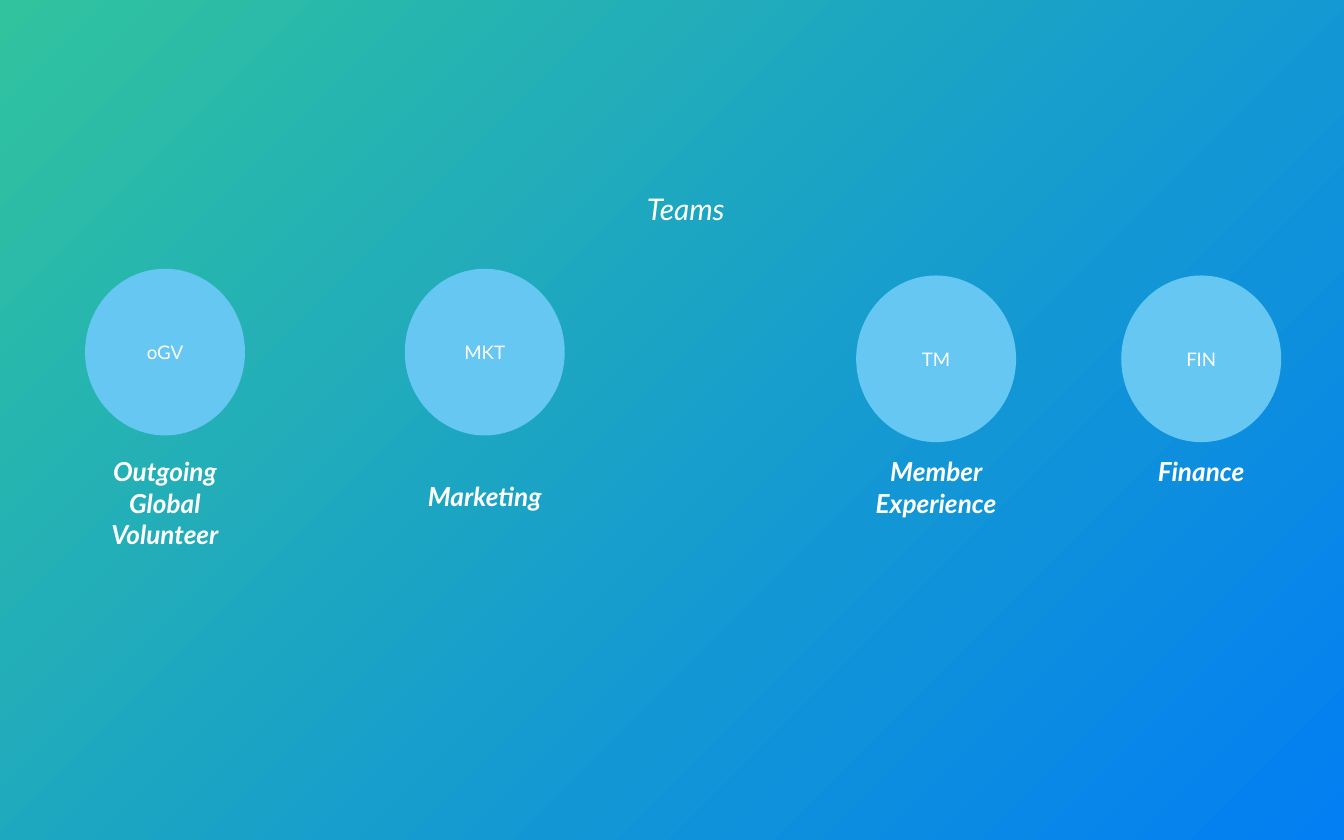
"""Build the Teams slide: four circles with team names on a gradient."""
import pptx
import pptx.dml.color
import pptx.enum.shapes
import pptx.enum.text
import pptx.util

Pt = pptx.util.Pt
Kind = pptx.enum.shapes.MSO_SHAPE
Align = pptx.enum.text.PP_ALIGN
Anchor = pptx.enum.text.MSO_ANCHOR


def color(code):
    return pptx.dml.color.RGBColor.from_string(code)


theme = {
    "start": color("30C39E"),
    "end": color("037EF3"),
    "disc": color("65C7F2"),
    "title": {"size": Pt(16), "bold": False, "italic": True},
    "code": {"size": Pt(10), "bold": False, "italic": False},
    "label": {"size": Pt(14), "bold": True, "italic": True},
    "base": {"name": "Lato"},
    "text": color("FFFFFF"),
}


def write(shape, text, style, align, anchor):
    frame = shape.text_frame
    format = {"word_wrap": True, "vertical_anchor": anchor}
    for side in ("left", "top", "right", "bottom"):
        format["margin_" + side] = Pt(7.2)
    for key, value in format.items():
        setattr(frame, key, value)
    line = frame.paragraphs[0]
    line.alignment = align
    run = line.add_run()
    run.text = text
    for key, value in {**theme["base"], **theme[style]}.items():
        setattr(run.font, key, value)
    run.font.color.rgb = theme["text"]


deck = pptx.Presentation()
deck.slide_width, deck.slide_height = Pt(720), Pt(450)
slide = deck.slides.add_slide(deck.slide_layouts[6])
shapes = slide.shapes

back = shapes.add_shape(Kind.RECTANGLE, Pt(-0.5), Pt(0), Pt(721), Pt(450.5))
back.shadow.inherit = False
back.line.fill.background()
back.fill.gradient()
back.fill.gradient_angle = 315
for stop, tone in zip(back.fill.gradient_stops, ("start", "end")):
    stop.color.rgb = theme[tone]

title = shapes.add_textbox(Pt(328.3), Pt(100.8), Pt(67), Pt(22.3))
write(title, "Teams", "title", Align.RIGHT, Anchor.MIDDLE)

wide, high, span = 85.7, 89.3, 103.7
teams = [
    ("oGV", "Outgoing Global Volunteer", 88.4, 144, 236.9, 53.3),
    ("MKT", "Marketing", 259.7, 144, 249.9, 22.3),
    ("TM", "Member Experience", 501.5, 147.6, 236.9, 22.3),
    ("FIN", "Finance", 643.5, 147.6, 236.9, 22.3),
]
for code, name, mid, top, base, tall in teams:
    disc = shapes.add_shape(Kind.OVAL, Pt(mid - wide / 2), Pt(top), Pt(wide), Pt(high))
    disc.shadow.inherit = False
    disc.line.fill.background()
    disc.fill.solid()
    disc.fill.fore_color.rgb = theme["disc"]
    write(disc, code, "code", Align.CENTER, Anchor.MIDDLE)
    label = shapes.add_textbox(Pt(mid - span / 2), Pt(base), Pt(span), Pt(tall))
    write(label, name, "label", Align.CENTER, Anchor.TOP)

deck.save("out.pptx")
